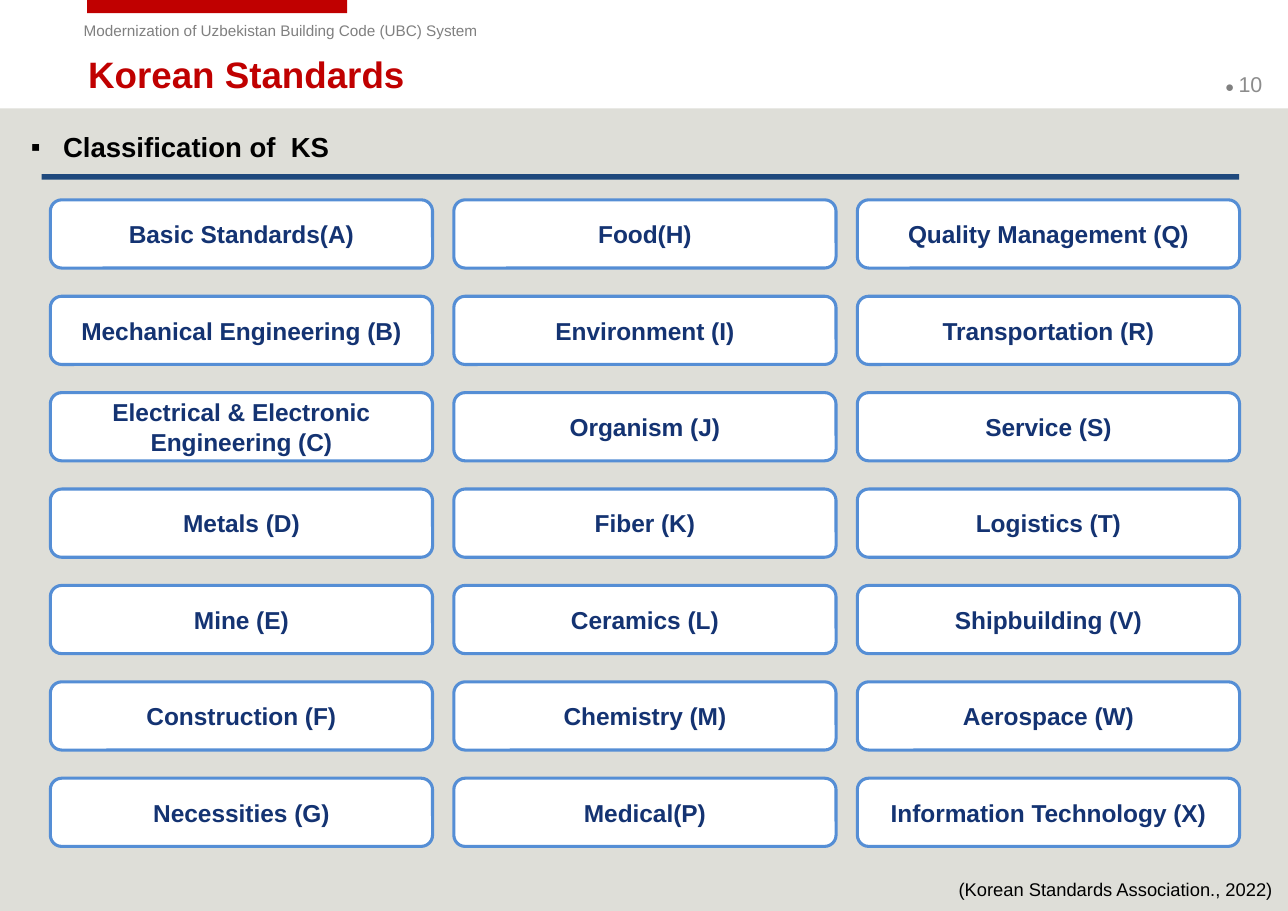
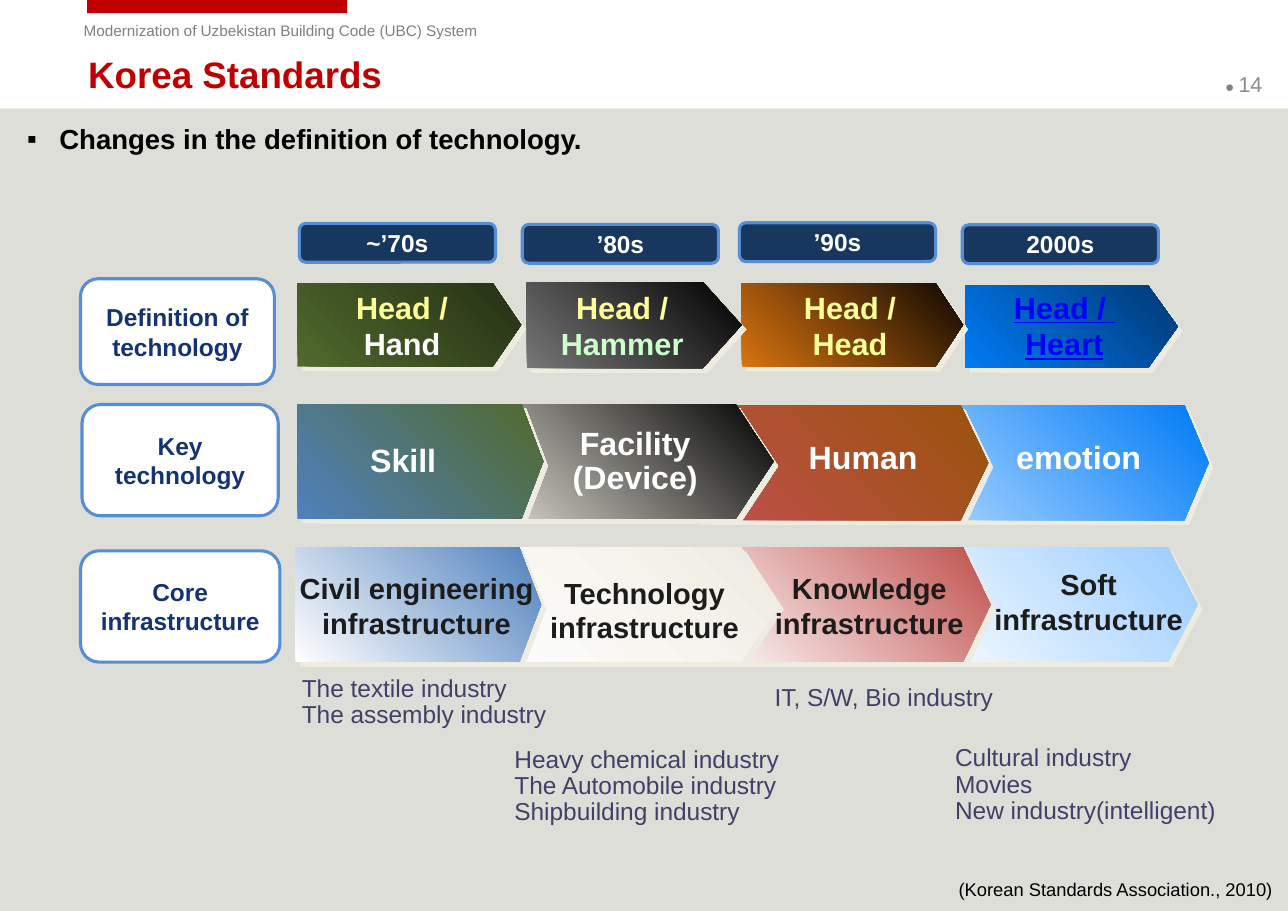
from itertools import cycle

from lxml import etree
from pptx import Presentation
from pptx.dml.color import RGBColor as RGB
from pptx.enum.shapes import MSO_SHAPE as Kind
from pptx.enum.text import MSO_ANCHOR as Anchor, PP_ALIGN as Align
from pptx.oxml.ns import qn
from pptx.util import Pt

HUES = {
    "panel": "DEDED8", "red": "C00000", "grey": "808080", "page": "8C8C8C",
    "black": "000000", "white": "FFFFFF", "navy": "143372", "edge": "558ED5",
    "rule": "1F497D", "era": "17375E", "note": "404068", "ink": "1C1C1C",
    "yellow": "FFFF99", "mint": "CCFFCC", "link": "0000FF", "sand": "EEECE1",
    "sky": "99CCFF", "azure": "007BF6", "deep": "003972", "orange": "D9740F",
    "coal": "0E0701", "brick": "C0504D", "brown": "99520B", "ash": "777777",
    "olive": "51692D", "moss": "253115", "blue": "4F81BD",
}
FONT = "Arial"


def block(slide, kind, x, y, w, h, fill=None, line=None):
    """Add a preset shape, or a text box without margins if kind is None."""
    place = Pt(x), Pt(y), Pt(w), Pt(h)
    if kind is None:
        shape = slide.shapes.add_textbox(*place)
        frame = shape.text_frame
        frame.margin_left = frame.margin_right = 0
        frame.margin_top = frame.margin_bottom = 0
    else:
        shape = slide.shapes.add_shape(kind, *place)
        shape.shadow.inherit = False
        shape.line.fill.background()
    if fill:
        shape.fill.solid()
        shape.fill.fore_color.rgb = RGB.from_string(HUES[fill])
    if line:
        shape.line.color.rgb = RGB.from_string(HUES[line])
        shape.line.width = Pt(2)
    return shape


def write(shape, text, size, hues, bold=False, align=Align.LEFT, gap=None):
    """Fill a shape with text; hues names one colour per paragraph, in turn."""
    frame = shape.text_frame
    frame.word_wrap = True
    frame.text = text
    for para, hue in zip(frame.paragraphs, cycle(hues.split())):
        para.alignment = align
        para.line_spacing = gap
        for run in para.runs:
            font = run.font
            font.name, font.size, font.bold = FONT, Pt(size), bold
            font.color.rgb = RGB.from_string(HUES[hue])
            font.underline = True if hue == "link" else None
    return frame


deck = Presentation()
deck.slide_width, deck.slide_height = Pt(841.7), Pt(595.4)

# Shared frame of both slides
heads = [
    ("Korean Standards", "10", "Classification of  KS", 20.2, 85, 2022),
    ("Korea Standards", "14", "Changes in the definition of technology.", 17.8, 80, 2010),
]
slides = []
for name, page, topic, left, top, year in heads:
    slide = deck.slides.add_slide(deck.slide_layouts[5])
    slides.append(slide)
    block(slide, Kind.RECTANGLE, 0, 70.8, 841.7, 524.6, "panel")
    block(slide, Kind.RECTANGLE, 56.9, 0, 170, 8.6, "red")

    title = slide.shapes.title
    title.left, title.top, title.width, title.height = Pt(50.4), Pt(33.8), Pt(750), Pt(28.8)
    write(title, name, 24, "red", True).vertical_anchor = Anchor.MIDDLE

    write(block(slide, None, 54.7, 13.7, 322, 12), "Modernization of Uzbekistan Building Code (UBC) System", 10, "grey")

    frame = write(block(slide, None, 800.6, 38.9, 41, 31.7), "● ", 10, "grey")
    frame.vertical_anchor = Anchor.MIDDLE
    run = frame.paragraphs[0].add_run()
    run.text = page
    run.font.name, run.font.size = FONT, Pt(14)
    run.font.color.rgb = RGB.from_string(HUES["page"])

    frame = write(block(slide, None, left, top, 800, 22), topic, 18, "black", True)
    props = frame.paragraphs[0]._p.get_or_add_pPr()
    props.set("marL", str(Pt(21)))
    props.set("indent", str(Pt(-21)))
    etree.SubElement(props, qn("a:buFont")).set("typeface", FONT)
    etree.SubElement(props, qn("a:buChar")).set("char", "▪")

    write(block(slide, None, 626.4, 573.8, 215, 15), f"(Korean Standards Association., {year})", 12, "black")

# Slide 1: classes in a grid of three columns
grid, change = slides
block(grid, Kind.RECTANGLE, 27.2, 113.8, 782.6, 3.6, "rule")
classes = [
    ["Basic Standards(A)", "Mechanical Engineering (B)",
     "Electrical & Electronic Engineering (C)", "Metals (D)", "Mine (E)",
     "Construction (F)", "Necessities (G)"],
    ["Food(H)", "Environment (I)", "Organism (J)", "Fiber (K)", "Ceramics (L)",
     "Chemistry (M)", "Medical(P)"],
    ["Quality Management (Q)", "Transportation (R)", "Service (S)",
     "Logistics (T)", "Shipbuilding (V)", "Aerospace (W)",
     "Information Technology (X)"],
]
for col, names in enumerate(classes):
    for row, name in enumerate(names):
        box = block(grid, Kind.ROUNDED_RECTANGLE, 32.9 + 263.7 * col, 130.6 + 63 * row,
                    249.8, 44.6, "white", "edge")
        write(box, name, 16, "navy", True, Align.CENTER).vertical_anchor = Anchor.MIDDLE

# Slide 2: arrows, the right column first so that the left ones lie on top
# x, y, width, height, point, first colour, last colour
arrows = [
    (583.9, 357.8, 198.7, 74.9, 0.26, "white", "sky"),
    (630.7, 186.5, 139, 54, 0.36, "azure", "deep"),
    (627.1, 265, 162.7, 74.9, 0.21, "sky", "azure"),
    (484.6, 185, 144.7, 54.7, 0.33, "orange", "coal"),
    (455, 265, 190.8, 74.9, 0.24, "brick", "brown"),
    (456.5, 357.8, 190.8, 74.9, 0.24, "white", "brick"),
    (344.2, 184.3, 140.4, 56.2, 0.45, "ash", "black"),
    (295.9, 264.2, 209.5, 74.9, 0.33, "sand", "black"),
    (295.9, 357.8, 213.1, 74.9, 0.33, "white", "sand"),
    (194.4, 185, 146.2, 54.7, 0.34, "olive", "moss"),
    (194.4, 264.2, 160.6, 74.9, 0.19, "blue", "olive"),
    (193, 357.8, 160.6, 74.9, 0.19, "white", "blue"),
]
for x, y, w, h, point, first, last in arrows:
    arrow = block(change, Kind.PENTAGON, x, y, w, h)
    arrow.adjustments[0] = point
    arrow.fill.gradient()
    arrow.fill.gradient_angle = 45
    for stop, hue in zip(arrow.fill.gradient_stops, (first, last)):
        stop.color.rgb = RGB.from_string(HUES[hue])
    effects = arrow._element.spPr.find(qn("a:effectLst"))
    shade = etree.SubElement(effects, qn("a:outerShdw"), blurRad="0", dist=str(Pt(4.2)),
                             dir=str(45 * 60000), algn="ctr", rotWithShape="0")
    etree.SubElement(shade, qn("a:srgbClr")).set("val", HUES["sand"])

# Arrow labels by row: size, line spacing, then middle, top, text, colours
labels = [
    (20, None, [
        (262.8, 188.6, "Head /\nHand", "yellow white"),
        (406.6, 188.6, "Head /\nHammer", "yellow mint"),
        (555.5, 188.6, "Head /\nHead", "yellow"),
        (695.5, 188.6, "Head / \nHeart", "link")]),
    (21, 0.9, [
        (263.5, 290.9, "Skill", "white"),
        (415.1, 279.4, "Facility\n(Device)", "white"),
        (564.1, 288.7, "Human", "white"),
        (704.9, 288.7, "emotion", "white")]),
    (19, None, [
        (272.2, 373, "Civil engineering\ninfrastructure", "ink"),
        (421.2, 375.8, "Technology\ninfrastructure", "ink"),
        (568.1, 373, "Knowledge\ninfrastructure", "ink"),
        (711.4, 370, "Soft\ninfrastructure", "ink")]),
]
for size, gap, items in labels:
    for mid, y, text, hues in items:
        write(block(change, None, mid - 90, y, 180, 48), text, size, hues, True, Align.CENTER, gap)

# Row heads and eras: x, y, width, height, text, fill, text colour
tags = [
    (52.6, 182.2, 126.7, 69.1, "Definition of technology", "white", "navy"),
    (53.6, 264.4, 128.2, 72.7, "Key technology", "white", "navy"),
    (52.6, 360, 130.3, 72.7, "Core infrastructure", "white", "navy"),
    (195.6, 146, 128.2, 25.4, "~’70s", "era", "white"),
    (341.3, 146.7, 128.2, 25.4, "’80s", "era", "white"),
    (483.2, 145.6, 128.2, 25.4, "’90s", "era", "white"),
    (628.8, 146.9, 128.2, 25.4, "2000s", "era", "white"),
]
for x, y, w, h, text, fill, hue in tags:
    tag = block(change, Kind.ROUNDED_RECTANGLE, x, y, w, h, fill, "edge")
    write(tag, text, 16, hue, True, Align.CENTER).vertical_anchor = Anchor.MIDDLE

notes = [
    (197.3, 442, "The textile industry\nThe assembly industry"),
    (336.2, 488.2, "Heavy chemical industry\nThe Automobile industry\nShipbuilding industry"),
    (506.2, 447.8, "IT, S/W, Bio industry"),
    (624.2, 487.4, "Cultural industry\nMovies\nNew industry(intelligent)"),
]
for x, y, text in notes:
    write(block(change, None, x, y, 200, 54), text, 16, "note", gap=0.9)

deck.save("out.pptx")
